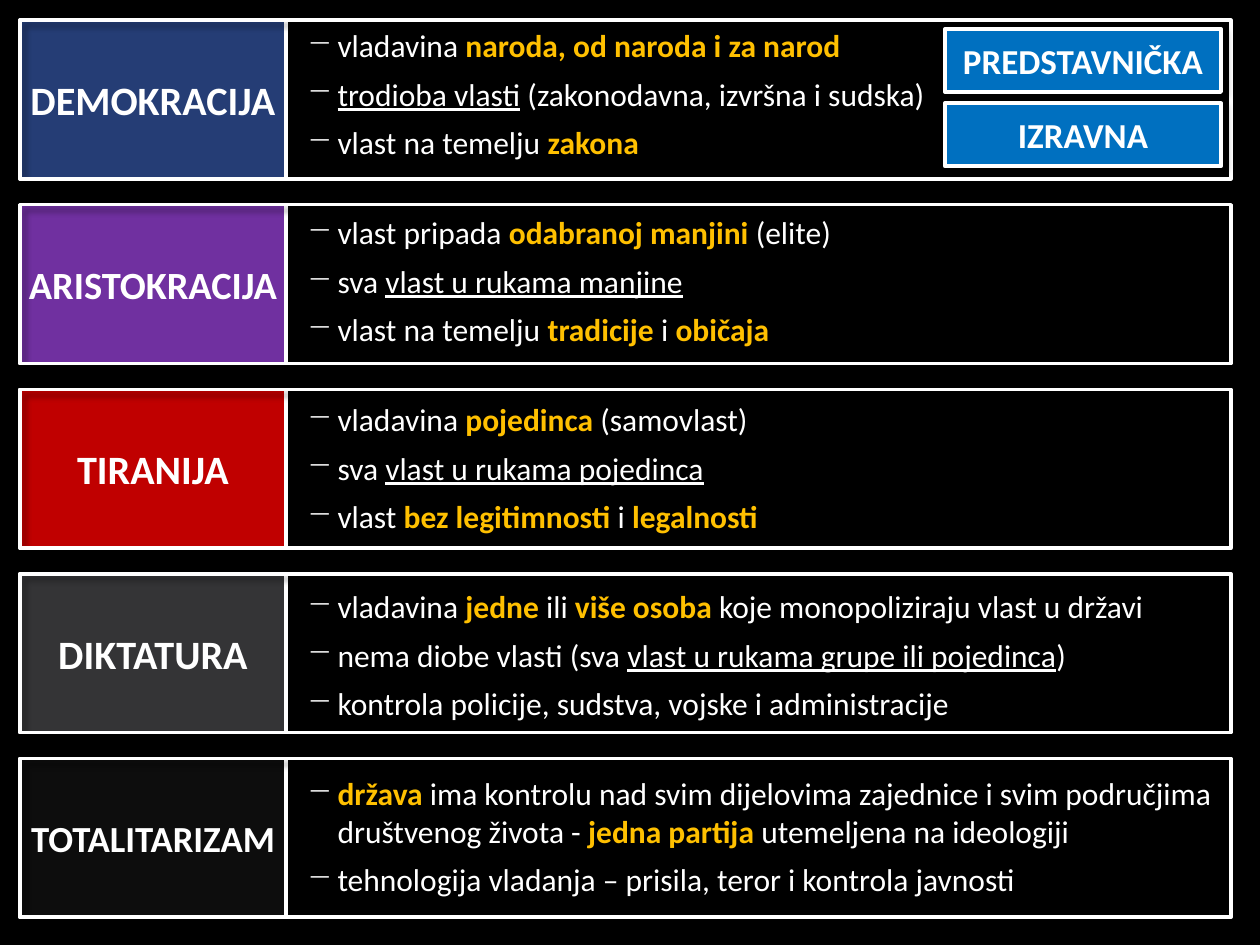
from lxml.etree import SubElement
from pptx import Presentation
from pptx.dml.color import RGBColor
from pptx.enum.shapes import MSO_SHAPE as Shape
from pptx.enum.text import MSO_ANCHOR as Anchor, MSO_AUTO_SIZE as AutoSize, PP_ALIGN as Align
from pptx.oxml import parse_xml
from pptx.oxml.ns import nsdecls, qn
from pptx.util import Inches, Pt

WHITE, GOLD, BLUE = "FFFFFF", "FFC000", "0070C0"
LEFT, TOP, ROW_PITCH, ROW_HEIGHT = 0.16, 0.16, 1.465, 1.26
NAME_WIDTH, FRAME_WIDTH = 2.11, 9.61
POINTS_LEFT, POINTS_WIDTH, POINTS_HEIGHT, POINTS_PITCH = 2.34, 7.48, 1.18, 1.484
INDENT = Inches(0.24)

# In the points, *...* is gold bold and _..._ is underlined.
REGIMES = [
    ("DEMOKRACIJA", "253D75", 23, [
        "vladavina *naroda, od naroda i za narod*",
        "_trodioba vlasti_ (zakonodavna, izvršna i sudska)",
        "vlast na temelju *zakona*"]),
    ("ARISTOKRACIJA", "7030A0", 22, [
        "vlast pripada *odabranoj manjini* (elite)",
        "sva _vlast u rukama manjine_",
        "vlast na temelju *tradicije* i *običaja*"]),
    ("TIRANIJA", "C00000", 23, [
        "vladavina *pojedinca* (samovlast)",
        "sva _vlast u rukama pojedinca_",
        "vlast *bez legitimnosti* i *legalnosti*"]),
    ("DIKTATURA", "343436", 23, [
        "vladavina *jedne *ili* više osoba *koje monopoliziraju vlast u državi",
        "nema diobe vlasti (sva _vlast u rukama grupe ili pojedinca_)",
        "kontrola policije, sudstva, vojske i administracije"]),
    ("TOTALITARIZAM", "0D0D0D", 21, [
        "*država* ima kontrolu nad svim dijelovima zajednice i svim područjima "
        "društvenog života - *jedna partija *utemeljena na ideologiji",
        "tehnologija vladanja – prisila, teror i kontrola javnosti"]),
]


def add_text(paragraph, text, size=18, color=WHITE, bold=False, underline=False):
    run = paragraph.add_run()
    run.text = text
    font = run.font
    font.name, font.size, font.bold = "Calibri", Pt(size), bold
    font.color.rgb = RGBColor.from_string(color)
    if underline:
        font.underline = True


def add_box(left, top, width, height, fill=None, line=2, label="", size=20, wrap=True):
    """Add a white-edged rectangle with a soft shadow and an optional centred label."""
    box = slide.shapes.add_shape(
        Shape.RECTANGLE, Inches(left), Inches(top), Inches(width), Inches(height))
    if fill:
        box.fill.solid()
        box.fill.fore_color.rgb = RGBColor.from_string(fill)
    else:
        box.fill.background()
    box.line.color.rgb = RGBColor.from_string(WHITE)
    box.line.width = Pt(line)
    box.shadow.inherit = False
    effects = box._element.spPr.find(qn("a:effectLst"))
    effects.append(parse_xml(
        f'<a:outerShdw {nsdecls("a")} blurRad="{Pt(4)}" dist="{Pt(3)}" dir="2700000" '
        'algn="tl" rotWithShape="0"><a:srgbClr val="000000"><a:alpha val="40000"/>'
        '</a:srgbClr></a:outerShdw>'))
    if label:
        frame = box.text_frame
        frame.word_wrap, frame.vertical_anchor = wrap, Anchor.MIDDLE
        frame.paragraphs[0].alignment = Align.CENTER
        add_text(frame.paragraphs[0], label, size=size, bold=True)


deck = Presentation()
deck.slide_width, deck.slide_height = Inches(10), Inches(7.5)
slide = deck.slides.add_slide(deck.slide_layouts[6])
slide.background.fill.solid()
slide.background.fill.fore_color.rgb = RGBColor.from_string("000000")

for row, (regime, color, size, points) in enumerate(REGIMES):
    row_top = TOP + row * ROW_PITCH
    add_box(LEFT, row_top, NAME_WIDTH, ROW_HEIGHT, fill=color,
            label=regime, size=size, wrap=False)

    features = slide.shapes.add_textbox(
        Inches(POINTS_LEFT), Inches(TOP + row * POINTS_PITCH),
        Inches(POINTS_WIDTH), Inches(POINTS_HEIGHT)).text_frame
    features.word_wrap, features.auto_size = True, AutoSize.SHAPE_TO_FIT_TEXT
    for number, point in enumerate(points):
        paragraph = features.add_paragraph() if number else features.paragraphs[0]
        paragraph.space_before = Pt(6)
        props = paragraph._p.get_or_add_pPr()
        props.set("marL", str(INDENT))
        props.set("indent", str(-INDENT))
        SubElement(SubElement(props, qn("a:buClr")), qn("a:srgbClr")).set("val", WHITE)
        SubElement(props, qn("a:buChar")).set("char", "─")
        for i, part in enumerate(point.split("*")):
            for j, piece in enumerate(part.split("_")):
                if piece:
                    add_text(paragraph, piece, color=GOLD if i % 2 else WHITE,
                             bold=i % 2 == 1, underline=j % 2 == 1)

    add_box(LEFT, row_top, FRAME_WIDTH, ROW_HEIGHT)

for order, kind in enumerate(["PREDSTAVNIČKA", "IZRAVNA"]):
    add_box(7.5, 0.23 + order * 0.59, 2.19, 0.5, fill=BLUE, line=2.25, label=kind)

deck.save("out.pptx")
